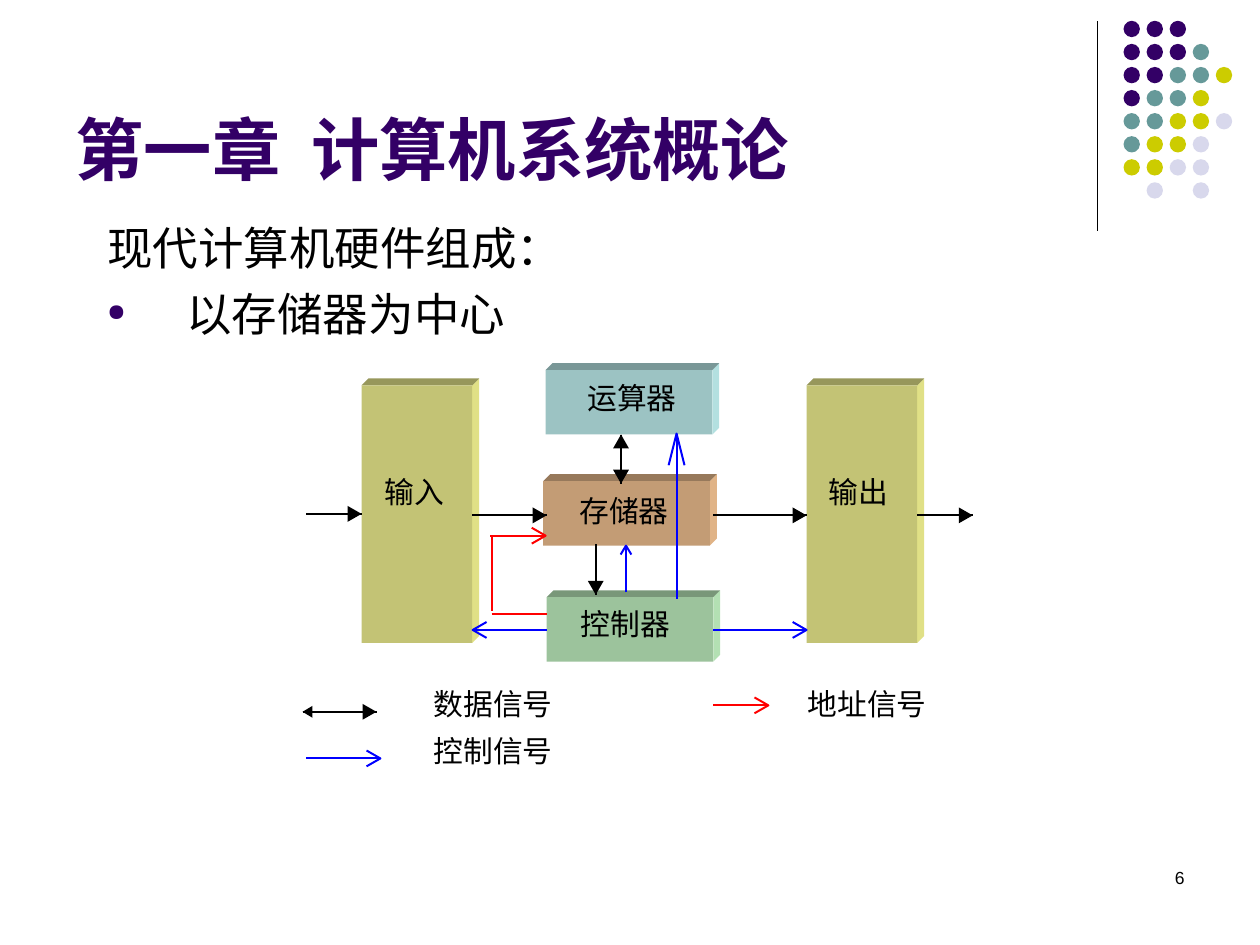
from lxml.etree import SubElement
from pptx import Presentation
from pptx.dml.color import RGBColor
from pptx.enum.shapes import MSO_CONNECTOR, MSO_SHAPE
from pptx.enum.text import MSO_ANCHOR, MSO_AUTO_SIZE, PP_ALIGN
from pptx.oxml.ns import qn
from pptx.util import Cm, Pt

BLACK = RGBColor(0x00, 0x00, 0x00)
RED = RGBColor(0xFF, 0x00, 0x00)
BLUE = RGBColor(0x00, 0x00, 0xFF)
PURPLE = RGBColor(0x33, 0x00, 0x66)
TEAL = RGBColor(0x66, 0x99, 0x99)
YELLOW = RGBColor(0xCC, 0xCC, 0x00)
LAVENDER = RGBColor(0xD8, 0xD8, 0xEC)

# Front, top and side of each kind of block
OLIVE_FACES = (RGBColor(0xC3, 0xC3, 0x75), RGBColor(0x97, 0x97, 0x5B), RGBColor(0xE0, 0xE0, 0x86))
BROWN_FACES = (RGBColor(0xC3, 0x9C, 0x75), RGBColor(0x97, 0x79, 0x5B), RGBColor(0xE0, 0xB3, 0x86))
CYAN_FACES = (RGBColor(0x9C, 0xC3, 0xC3), RGBColor(0x79, 0x97, 0x97), RGBColor(0xB3, 0xE0, 0xE0))
GREEN_FACES = (RGBColor(0x9C, 0xC3, 0x9C), RGBColor(0x79, 0x97, 0x79), RGBColor(0xB3, 0xE0, 0xB3))

CHINESE_FONT = "Noto Sans CJK SC"
SIGNAL_WIDTH = Pt(1.13)


def write(paragraph, text, font_name, **font_format):
    """Fill a paragraph with one run, with the Chinese font for Chinese text."""
    run = paragraph.add_run()
    run.text = text
    for name, value in {"name": font_name, **font_format}.items():
        if name == "color":
            run.font.color.rgb = value
        else:
            setattr(run.font, name, value)
    SubElement(run.font._element, qn("a:ea"), typeface=CHINESE_FONT)


def draw_outline(shapes, points, color, filled=True):
    """Draw points in cm as a filled polygon or as an open line."""
    corners = [(Cm(x), Cm(y)) for x, y in points]
    builder = shapes.build_freeform(*corners[0])
    builder.add_line_segments(corners[1:], close=filled)
    outline = builder.convert_to_shape()
    outline.shadow.inherit = False
    if filled:
        outline.fill.solid()
        outline.fill.fore_color.rgb = color
        outline.line.fill.background()
    else:
        outline.fill.background()
        outline.line.color.rgb = color
        outline.line.width = SIGNAL_WIDTH


presentation = Presentation()
presentation.slide_width = Cm(25.4)
presentation.slide_height = Cm(19.05)
slide = presentation.slides.add_slide(presentation.slide_layouts[5])
shapes = slide.shapes

# Corner decoration
DOT_COLORS = {"P": PURPLE, "T": TEAL, "Y": YELLOW, "L": LAVENDER}
DOT_ROWS = ("PPP", "PPPT", "PPTTY", "PTTY", "TTYYL", "TYYL", "YYLL", "-L-L")
DOT_PITCH = 0.465
for row, codes in enumerate(DOT_ROWS):
    for column, code in enumerate(codes):
        if code not in DOT_COLORS:
            continue
        dot = shapes.add_shape(MSO_SHAPE.OVAL, Cm(22.65 + column * DOT_PITCH),
                               Cm(0.42 + row * DOT_PITCH), Cm(0.33), Cm(0.33))
        dot.shadow.inherit = False
        dot.fill.solid()
        dot.fill.fore_color.rgb = DOT_COLORS[code]
        dot.line.fill.background()

# Title
title = shapes.title
title_place = {"left": Cm(1.27), "top": Cm(0.33), "width": Cm(20.96), "height": Cm(3.61)}
for name, value in title_place.items():
    setattr(title, name, value)
title.text_frame.vertical_anchor = MSO_ANCHOR.BOTTOM
title_paragraph = title.text_frame.paragraphs[0]
title_paragraph.alignment = PP_ALIGN.LEFT
write(title_paragraph, "第一章  计算机系统概论", "Arial", size=Pt(39), bold=True, color=PURPLE)

# Introduction
introduction = shapes.add_textbox(Cm(1.91), Cm(4.32), Cm(17.81), Cm(12.24)).text_frame
introduction.word_wrap = True
heading = introduction.paragraphs[0]
point = introduction.add_paragraph()
point.space_before = Pt(6.5)
for paragraph in (heading, point):
    properties = paragraph._p.get_or_add_pPr()
    properties.set("marL", str(Cm(1.6)))
    properties.set("indent", str(-Cm(1.6)))
bullet_color = SubElement(properties, qn("a:buClr"))
SubElement(bullet_color, qn("a:srgbClr"), val=str(PURPLE))
SubElement(properties, qn("a:buSzPct"), val="52000")
SubElement(properties, qn("a:buChar"), char="●")
write(heading, "现代计算机硬件组成：", "Arial", size=Pt(26), color=BLACK)
write(point, "以存储器为中心", "Arial", size=Pt(26), color=BLACK)

# Blocks: left, top, width, height of the front, and the face colours
BLOCKS = (
    (10.95, 9.7, 3.36, 1.3, BROWN_FACES),
    (16.26, 7.77, 2.23, 5.19, OLIVE_FACES),
    (7.29, 7.77, 2.23, 5.19, OLIVE_FACES),
    (11, 7.46, 3.36, 1.3, CYAN_FACES),
    (11.02, 12.04, 3.36, 1.3, GREEN_FACES),
)
DEPTH = 0.14
for left, top, width, height, (front_color, top_color, side_color) in BLOCKS:
    right, bottom = left + width, top + height
    back_right, back_top = right + DEPTH, top - DEPTH
    draw_outline(shapes, [(right, bottom), (right, top), (back_right, back_top),
                          (back_right, bottom - DEPTH)], side_color)
    draw_outline(shapes, [(right, top), (left, top), (left + DEPTH, back_top),
                          (back_right, back_top)], top_color)
    front = shapes.add_shape(MSO_SHAPE.RECTANGLE, Cm(left), Cm(top), Cm(width), Cm(height))
    front.shadow.inherit = False
    front.fill.solid()
    front.fill.fore_color.rgb = front_color
    front.line.fill.background()

# Divider and signals: start, end, colour, width, head length at start and at end
HEAD = 0.28
LINES = (
    ((22.12, 0.43), (22.12, 4.65), BLACK, Pt(0.75), 0, 0),
    ((9.52, 10.39), (11.02, 10.39), BLACK, SIGNAL_WIDTH, 0, HEAD),
    ((14.38, 10.39), (16.26, 10.39), BLACK, SIGNAL_WIDTH, 0, HEAD),
    ((6.17, 10.36), (7.29, 10.36), BLACK, SIGNAL_WIDTH, 0, HEAD),
    ((18.49, 10.39), (19.61, 10.39), BLACK, SIGNAL_WIDTH, 0, HEAD),
    ((12.52, 8.76), (12.52, 9.75), BLACK, SIGNAL_WIDTH, HEAD, HEAD),
    ((12.01, 10.97), (12.01, 11.99), BLACK, SIGNAL_WIDTH, 0, HEAD),
    ((6.1, 14.35), (7.59, 14.35), BLACK, SIGNAL_WIDTH, 0.2, HEAD),
    ((9.88, 10.8), (11, 10.8), RED, SIGNAL_WIDTH, 0, HEAD),
    ((9.91, 12.37), (11.02, 12.37), RED, SIGNAL_WIDTH, 0, 0),
    ((9.91, 10.8), (9.91, 12.32), RED, SIGNAL_WIDTH, 0, 0),
    ((14.38, 14.22), (15.49, 14.22), RED, SIGNAL_WIDTH, 0, HEAD),
    ((11.02, 12.7), (9.53, 12.7), BLUE, SIGNAL_WIDTH, 0, HEAD),
    ((14.38, 12.7), (16.26, 12.7), BLUE, SIGNAL_WIDTH, 0, HEAD),
    ((6.17, 15.29), (7.67, 15.29), BLUE, SIGNAL_WIDTH, 0, HEAD),
    ((12.62, 11.94), (12.62, 11), BLUE, SIGNAL_WIDTH, 0, 0.18),
    ((13.64, 12.07), (13.64, 8.74), BLUE, SIGNAL_WIDTH, 0, 0.64),
)
for start, end, color, width, start_head, end_head in LINES:
    line = shapes.add_connector(MSO_CONNECTOR.STRAIGHT, *map(Cm, start + end))
    line.line.color.rgb = color
    line.line.width = width
    SubElement(line._element.spPr, qn("a:effectLst"))
    for tip, tail, head in ((start, end, start_head), (end, start, end_head)):
        if not head:
            continue
        (x, y), (tail_x, tail_y) = tip, tail
        length = abs(tail_x - x) + abs(tail_y - y)
        along_x, along_y = (tail_x - x) / length, (tail_y - y) / length
        half = min(0.16, head * 0.6)
        base_x, base_y = x + along_x * head, y + along_y * head
        draw_outline(shapes, [(base_x - along_y * half, base_y + along_x * half), tip,
                              (base_x + along_y * half, base_y - along_x * half)],
                     color, filled=color == BLACK)

# Block names and legend
LABELS = (
    ("输出", 16.71, 9.55),
    ("输入", 7.75, 9.55),
    ("运算器", 11.84, 7.65),
    ("控制器", 11.71, 12.22),
    ("存储器", 11.68, 9.93),
    ("数据信号", 8.74, 13.82),
    ("控制信号", 8.74, 14.78),
    ("地址信号", 16.28, 13.82),
)
for text, left, top in LABELS:
    label = shapes.add_textbox(Cm(left), Cm(top), Cm(0.62 * len(text)), Cm(0.71)).text_frame
    for side in ("left", "top", "right", "bottom"):
        setattr(label, f"margin_{side}", 0)
    label.word_wrap = False
    label.auto_size = MSO_AUTO_SIZE.SHAPE_TO_FIT_TEXT
    write(label.paragraphs[0], text, CHINESE_FONT, size=Pt(17), color=BLACK)

# Page number
page_number = shapes.add_textbox(Cm(18.21), Cm(17.35), Cm(5.92), Cm(1.27)).text_frame
page_number.word_wrap = True
page_number.paragraphs[0].alignment = PP_ALIGN.RIGHT
write(page_number.paragraphs[0], "6", "Arial", size=Pt(10), color=BLACK)

presentation.save("out.pptx")
